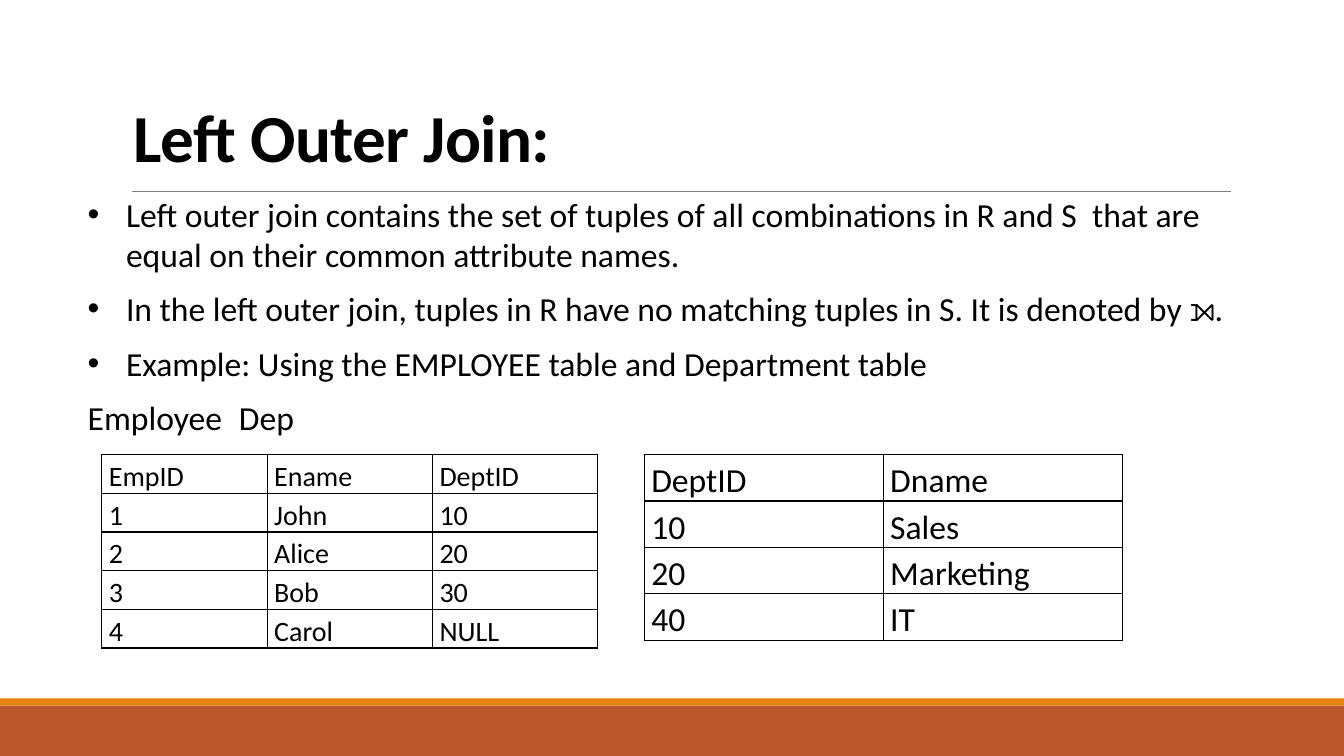
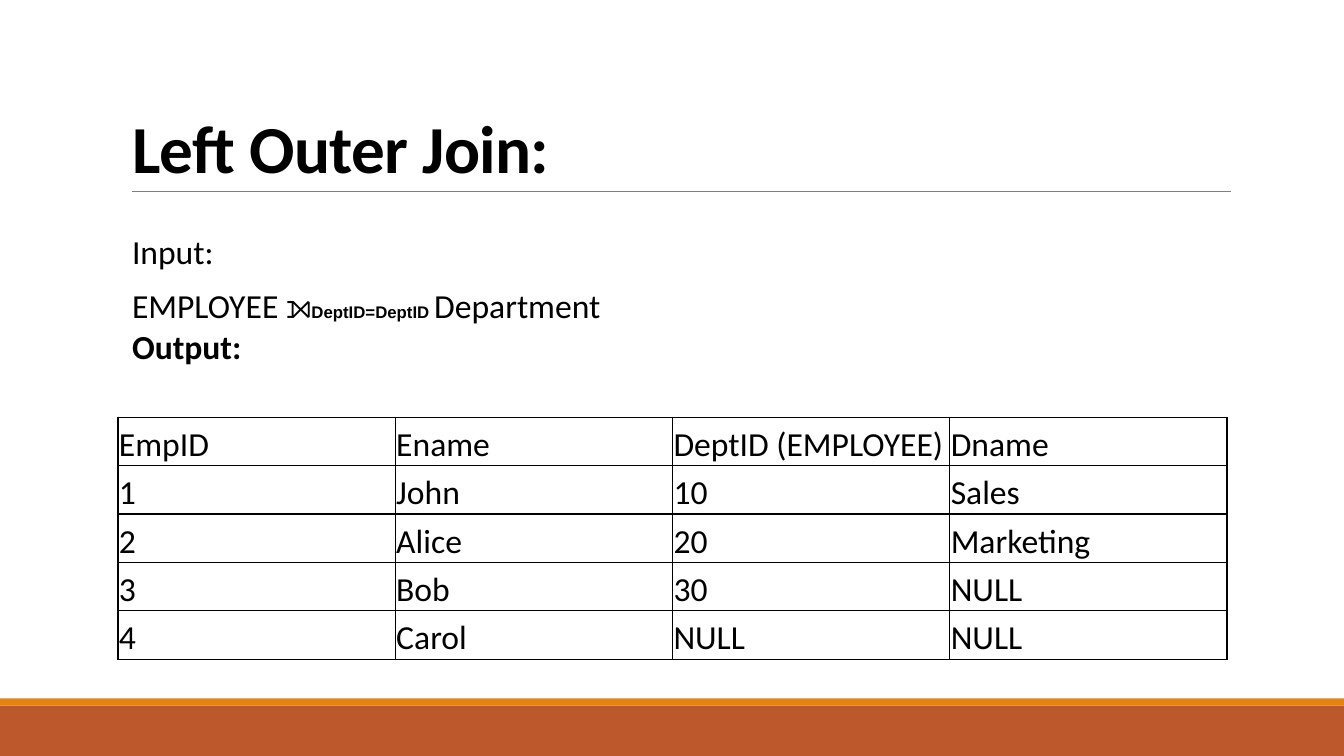
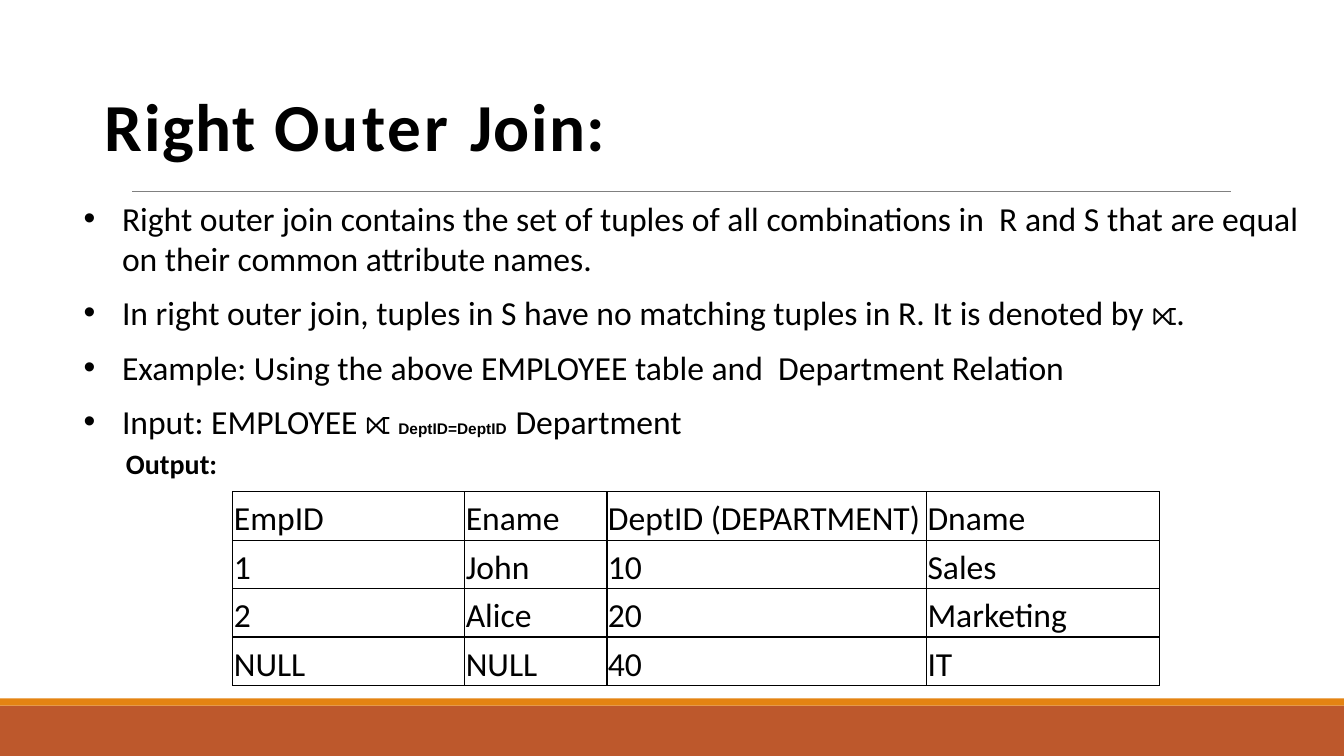
"""Build three slides on left and right outer joins."""
from dataclasses import dataclass

from lxml import etree
from pptx import Presentation
from pptx.dml.color import RGBColor
from pptx.enum.shapes import MSO_CONNECTOR, MSO_SHAPE
from pptx.enum.text import MSO_ANCHOR
from pptx.oxml.ns import qn
from pptx.util import Inches, Pt

RECTANGLE = MSO_SHAPE.RECTANGLE
STRAIGHT = MSO_CONNECTOR.STRAIGHT
TOP, MIDDLE, BOTTOM = MSO_ANCHOR.TOP, MSO_ANCHOR.MIDDLE, MSO_ANCHOR.BOTTOM


@dataclass(frozen=True)
class TextStyle:
    size: float
    font: str = "Calibri"
    bold: bool = False
    tracking: float = 0


class Theme:
    ink = RGBColor(0x00, 0x00, 0x00)
    paper = RGBColor(0xFF, 0xFF, 0xFF)
    footer = RGBColor(0xBD, 0x58, 0x2C)
    accent = RGBColor(0xE4, 0x83, 0x12)
    rule = RGBColor(0x80, 0x80, 0x80)
    title_size = 48
    body = TextStyle(24)
    strong = TextStyle(24, bold=True)
    small = TextStyle(20)
    small_strong = TextStyle(20, bold=True)
    condition = TextStyle(12, "Arial", True)
    small_condition = TextStyle(11, "Arial", True)
    paragraph_gap = 10
    cell_spacing = 1.15


class Deck:
    def __init__(self, theme):
        self.theme = theme
        self.presentation = Presentation()
        self.presentation.slide_width = Inches(13.33)
        self.presentation.slide_height = Inches(7.5)
        self.slide = None

    def new_slide(self, title_runs, left, top):
        self.slide = self.presentation.slides.add_slide(self.presentation.slide_layouts[6])
        self.band(7, 0.5, self.theme.footer)
        self.band(6.93, 0.07, self.theme.accent)
        self.title_rule()
        runs = [(text, TextStyle(self.theme.title_size, bold=True, tracking=tracking))
                for text, tracking in title_runs]
        frame = self.text_frame(left, top, 6, 0.82, BOTTOM)
        self.paragraph(frame, runs)

    def band(self, top, height, color):
        shape = self.slide.shapes.add_shape(
            RECTANGLE, 0, Inches(top), self.presentation.slide_width, Inches(height))
        shape.shadow.inherit = False
        shape.fill.solid()
        shape.fill.fore_color.rgb = color
        shape.line.fill.background()

    def title_rule(self):
        connector = self.slide.shapes.add_connector(
            STRAIGHT, Inches(1.31), Inches(1.9), Inches(12.21), Inches(1.9))
        connector.line.color.rgb = self.theme.rule
        connector.line.width = Pt(0.5)
        etree.SubElement(connector._element.spPr, qn("a:effectLst"))

    def text_frame(self, left, top, width, height, anchor=TOP):
        box = self.slide.shapes.add_textbox(
            Inches(left), Inches(top), Inches(width), Inches(height))
        frame = box.text_frame
        frame.word_wrap = True
        frame.vertical_anchor = anchor
        frame.margin_left = frame.margin_right = frame.margin_bottom = 0
        frame.margin_top = Inches(0.01)
        return frame

    def paragraph(self, frame, runs, gap=0, bullet=False, tab=None):
        first = not frame.paragraphs[0].runs
        paragraph = frame.paragraphs[0] if first else frame.add_paragraph()
        properties = paragraph._p.get_or_add_pPr()
        properties.set("marL", str(Inches(0.39 if bullet else 0.01)))
        properties.set("indent", str(Inches(-0.38 if bullet else 0)))
        if bullet:
            etree.SubElement(properties, qn("a:buFont")).set("typeface", "Arial")
            etree.SubElement(properties, qn("a:buChar")).set("char", "•")
        if tab is not None:
            tabs = etree.SubElement(properties, qn("a:tabLst"))
            stop = etree.SubElement(tabs, qn("a:tab"))
            stop.set("pos", str(Inches(tab)))
            stop.set("algn", "l")
        paragraph.space_before = Pt(0 if first else gap)
        for text, style in runs:
            self.run(paragraph, text, style)

    def run(self, paragraph, text, style):
        run = paragraph.add_run()
        run.text = text
        run.font.name = style.font
        run.font.size = Pt(style.size)
        run.font.bold = style.bold
        run.font.color.rgb = self.theme.ink
        if style.tracking:
            run._r.get_or_add_rPr().set("spc", str(round(style.tracking * 100)))

    def bullets(self, frame, items):
        for runs in items:
            self.paragraph(frame, runs, self.theme.paragraph_gap, bullet=True)

    def table(self, left, top, column_widths, row_height, rows, style,
              margins=(0.01, 0.01), anchor=MIDDLE):
        graphic = self.slide.shapes.add_table(
            len(rows), len(column_widths), Inches(left), Inches(top),
            Inches(sum(column_widths)), Inches(row_height * len(rows)))
        table = graphic.table
        table.first_row = table.horz_banding = False
        for column, width in zip(table.columns, column_widths):
            column.width = Inches(width)
        for row, values in zip(table.rows, rows):
            row.height = Inches(row_height)
            for cell, value in zip(row.cells, values):
                cell.margin_left = cell.margin_right = Inches(margins[0])
                cell.margin_top = cell.margin_bottom = Inches(margins[1])
                cell.vertical_anchor = anchor
                cell.fill.solid()
                cell.fill.fore_color.rgb = self.theme.paper
                self.cell_borders(cell)
                paragraph = cell.text_frame.paragraphs[0]
                paragraph.line_spacing = self.theme.cell_spacing
                self.run(paragraph, value, style)

    def cell_borders(self, cell):
        properties = cell._tc.get_or_add_tcPr()
        for position, side in enumerate(("lnL", "lnR", "lnT", "lnB")):
            line = etree.Element(qn(f"a:{side}"))
            line.set("w", str(Pt(1)))
            fill = etree.SubElement(line, qn("a:solidFill"))
            etree.SubElement(fill, qn("a:srgbClr")).set("val", str(self.theme.ink))
            properties.insert(position, line)


def left_join_inputs(deck):
    body = deck.theme.body
    deck.new_slide([("Left Outer Join:", -0.5)], 1.31, 0.93)
    frame = deck.text_frame(0.86, 1.91, 11.52, 2.45)
    deck.bullets(frame, [
        [("Left outer join contains the set of tuples of all combinations in R and S  "
          "that are equal on their common attribute names.", body)],
        [("In the left outer join, tuples in R have no matching tuples in S. "
          "It is denoted by ⟕.", body)],
        [("Example: Using the EMPLOYEE table and Department table", body)],
    ])
    deck.paragraph(frame, [("Employee\tDep", body)], deck.theme.paragraph_gap, tab=6.15)
    employees = [("EmpID", "Ename", "DeptID"), ("1", "John", "10"), ("2", "Alice", "20"),
                 ("3", "Bob", "30"), ("4", "Carol", "NULL")]
    departments = [("DeptID", "Dname"), ("10", "Sales"), ("20", "Marketing"), ("40", "IT")]
    deck.table(1.01, 4.51, [1.64] * 3, 0.38, employees, deck.theme.small, (0.07, 0), TOP)
    deck.table(6.39, 4.51, [2.37] * 2, 0.46, departments, body, (0.07, 0), TOP)


def left_join_output(deck):
    theme = deck.theme
    deck.new_slide([("Left Outer Join:", -0.5)], 1.3, 1.03)
    frame = deck.text_frame(1.3, 2.28, 6.16, 1.36)
    deck.paragraph(frame, [("Input:", theme.body)])
    deck.paragraph(frame, [("EMPLOYEE ⟕", theme.body), ("DeptID=DeptID ", theme.condition),
                           ("Department", theme.body)], theme.paragraph_gap)
    deck.paragraph(frame, [("Output:", theme.strong)])
    rows = [("EmpID", "Ename", "DeptID (EMPLOYEE)", "Dname"),
            ("1", "John", "10", "Sales"), ("2", "Alice", "20", "Marketing"),
            ("3", "Bob", "30", "NULL"), ("4", "Carol", "NULL", "NULL")]
    deck.table(1.17, 4.14, [2.75] * 4, 0.48, rows, theme.body)


def right_join(deck):
    theme = deck.theme
    deck.new_slide([("Right ", 1.1), ("Outer ", 2.3), ("Join:", 1)], 1.03, 0.82)
    frame = deck.text_frame(0.82, 1.95, 12.41, 2.45)
    deck.bullets(frame, [
        [("Right outer join contains the set of tuples of all combinations in  R and S "
          "that are equal on their common attribute names.", theme.body)],
        [("In right outer join, tuples in S have no matching tuples in R. "
          "It is denoted by ⟖.", theme.body)],
        [("Example: Using the above EMPLOYEE table and  Department Relation", theme.body)],
        [("Input: EMPLOYEE ⟖ ", theme.body), ("DeptID=DeptID  ", theme.small_condition),
         ("Department", theme.body)],
    ])
    label = deck.text_frame(1.24, 4.42, 1.26, 0.4)
    deck.paragraph(label, [("Output:", theme.small_strong)])
    rows = [("EmpID", "Ename", "DeptID (DEPARTMENT)", "Dname"),
            ("1", "John", "10", "Sales"), ("2", "Alice", "20", "Marketing"),
            ("NULL", "NULL", "40", "IT")]
    deck.table(2.31, 4.88, [2.3, 1.41, 3.17, 2.31], 0.48, rows, theme.body)


def main():
    deck = Deck(Theme())
    left_join_inputs(deck)
    left_join_output(deck)
    right_join(deck)
    deck.presentation.save("out.pptx")


if __name__ == "__main__":
    main()
